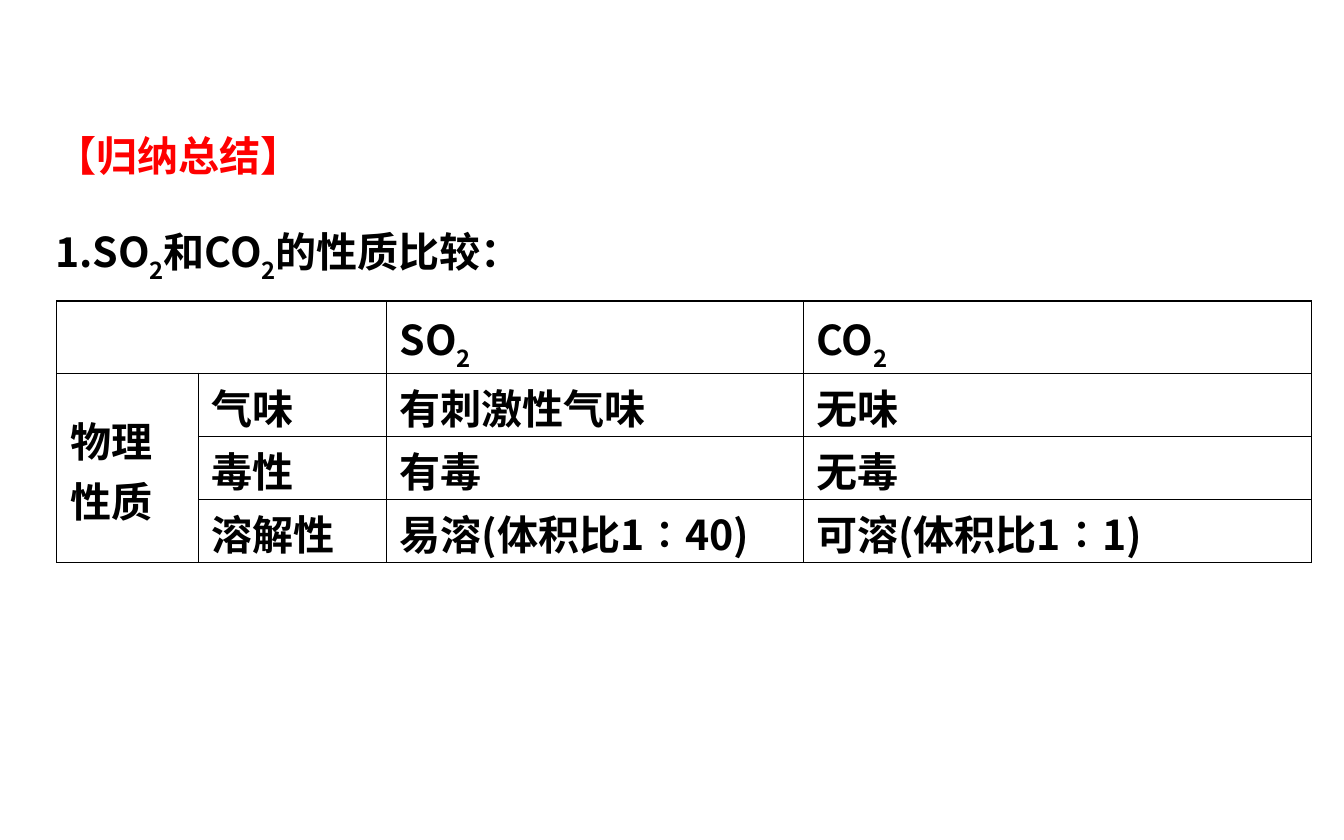
from lxml import etree
from pptx import Presentation
from pptx.dml.color import RGBColor
from pptx.enum.text import MSO_ANCHOR, MSO_AUTO_SIZE
from pptx.oxml.ns import qn
from pptx.util import Pt

MIDDLE = MSO_ANCHOR.MIDDLE
GROW = MSO_AUTO_SIZE.SHAPE_TO_FIT_TEXT
COLORS = {"heading": "FF0000", "text": "000000", "border": "000000"}
FONT = "Noto Sans CJK SC"
SIZE = 22
OUTER, INNER = 0.75, 0.45

COLUMNS = [75.8, 100.8, 223.2, 272.6]
ROWS = [38.5, 33.8, 33.8, 33.8]
# An underscore marks the next character as a subscript
PROPERTIES = [
    ["", "", "SO_2", "CO_2"],
    ["物理性质", "气味", "有刺激性气味", "无味"],
    ["", "毒性", "有毒", "无毒"],
    ["", "溶解性", "易溶(体积比1∶40)", "可溶(体积比1∶1)"],
]


def add_span(para, text, color, subscript=False):
    span = para.add_run()
    span.text = text
    font = span.font
    font.size, font.bold, font.name = Pt(SIZE), True, FONT
    font.color.rgb = RGBColor.from_string(COLORS[color])
    props = span._r.get_or_add_rPr()
    etree.SubElement(props, qn("a:ea")).set("typeface", FONT)
    if subscript:
        props.set("baseline", "-30000")


def add_formula_text(para, text, color="text"):
    first, *others = text.split("_")
    add_span(para, first, color)
    for part in others:
        add_span(para, part[0], color, subscript=True)
        if part[1:]:
            add_span(para, part[1:], color)


def set_border(cell, side, width):
    line = etree.SubElement(cell._tc.get_or_add_tcPr(), qn("a:" + side))
    line.set("w", str(Pt(width)))
    fill = etree.SubElement(line, qn("a:solidFill"))
    etree.SubElement(fill, qn("a:srgbClr")).set("val", COLORS["border"])


def add_heading(page, left, top, width, height):
    box = page.shapes.add_textbox(Pt(left), Pt(top), Pt(width), Pt(height))
    frame = box.text_frame
    frame.word_wrap = True
    frame.auto_size = GROW
    title, subtitle = frame.paragraphs[0], frame.add_paragraph()
    title.line_spacing = subtitle.line_spacing = 1.8
    add_formula_text(title, "【归纳总结】", "heading")
    add_formula_text(subtitle, "1.SO_2和CO_2的性质比较：")


def add_comparison(page, left, top):
    frame = page.shapes.add_table(len(ROWS), len(COLUMNS), Pt(left), Pt(top),
                                  Pt(sum(COLUMNS)), Pt(sum(ROWS)))
    table = frame.table
    table.first_row = table.horz_banding = False
    for column, width in zip(table.columns, COLUMNS):
        column.width = Pt(width)
    for row, height in zip(table.rows, ROWS):
        row.height = Pt(height)

    last_row, last_column = len(ROWS) - 1, len(COLUMNS) - 1
    for r, texts in enumerate(PROPERTIES):
        for c, text in enumerate(texts):
            cell = table.cell(r, c)
            cell.vertical_anchor = MIDDLE
            # Tight insets keep the body rows at their set height
            if r > 0:
                cell.margin_top, cell.margin_bottom = Pt(2.4), Pt(0)
            if text:
                add_formula_text(cell.text_frame.paragraphs[0], text)
            edges = {"lnL": c == 0, "lnR": c == last_column,
                     "lnT": r == 0, "lnB": r == last_row}
            for side, is_outer in edges.items():
                set_border(cell, side, OUTER if is_outer else INNER)
            cell.fill.background()

    # Empty corner and the row group label
    table.cell(0, 0).merge(table.cell(0, 1))
    table.cell(1, 0).merge(table.cell(last_row, 0))


def main():
    deck = Presentation()
    deck.slide_width, deck.slide_height = Pt(720), Pt(450)
    page = deck.slides.add_slide(deck.slide_layouts[6])
    add_heading(page, 22.5, 45.4, 679, 110.9)
    add_comparison(page, 30.4, 161.3)
    deck.save("out.pptx")


if __name__ == "__main__":
    main()
